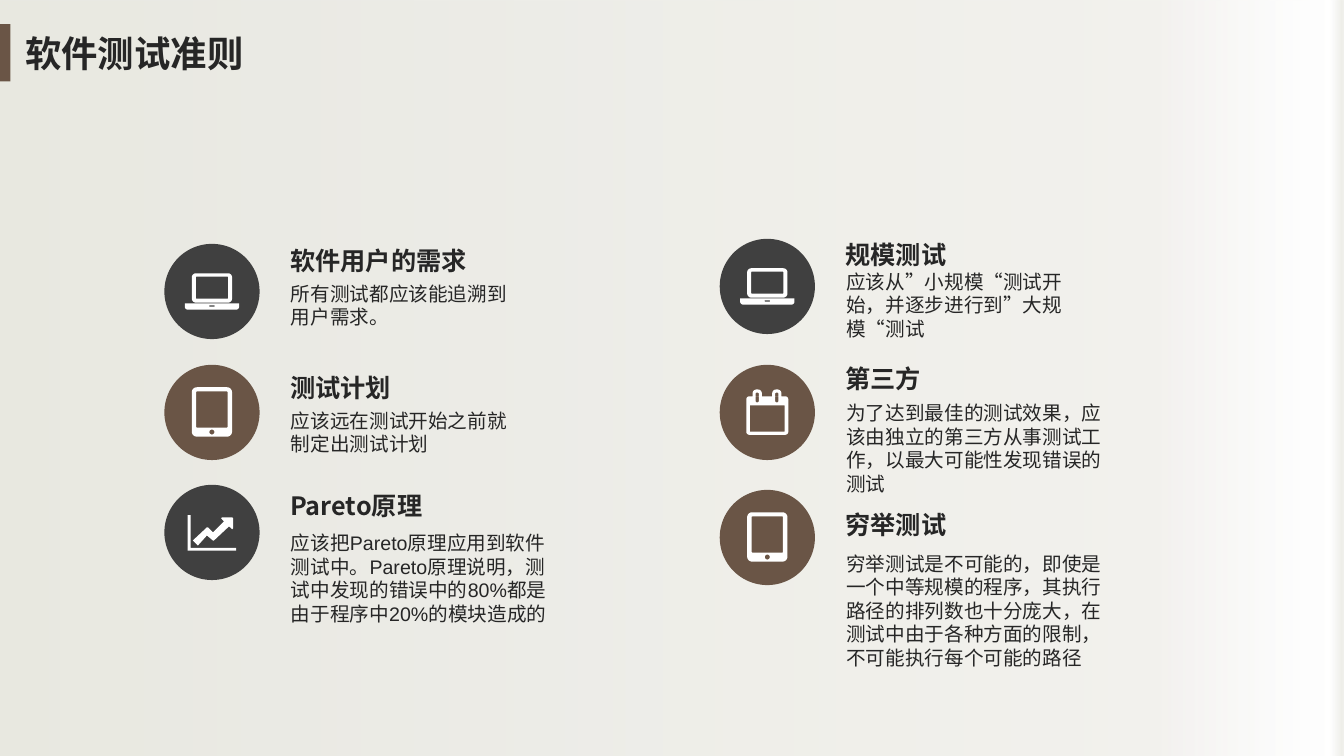
from math import cos, radians, sin

from lxml.etree import SubElement
from pptx import Presentation
from pptx.dml.color import RGBColor
from pptx.enum.shapes import MSO_SHAPE as Preset
from pptx.enum.text import MSO_ANCHOR as Anchor
from pptx.oxml.ns import qn
from pptx.util import Pt

COLORS = {"brown": "6A5546", "charcoal": "404040", "ink": "262626", "white": "FFFFFF"}
# position %, colour, opacity %
BACKDROP_STOPS = [(0, "E7E7DF", 94), (86, "F0EFEB", 85), (99, "FFFFFF", 62), (100, "EBEBE5", 100)]
CJK_FONT = "Noto Sans CJK SC"
SLIDE_WIDTH, SLIDE_HEIGHT = Pt(960), Pt(540)
DISC = 68
HEADING_OFFSET, BODY_OFFSET = 82.8, 90.4


def round_rect(left, top, right, bottom, top_radius, bottom_radius):
    """Return the outline points of a rectangle with rounded corners."""
    corners = [
        (left + top_radius, top + top_radius, top_radius, 180),
        (right - top_radius, top + top_radius, top_radius, 270),
        (right - bottom_radius, bottom - bottom_radius, bottom_radius, 0),
        (left + bottom_radius, bottom - bottom_radius, bottom_radius, 90),
    ]
    return [
        (x + r * cos(radians(start + turn)), y + r * sin(radians(start + turn)))
        for x, y, r, start in corners
        for turn in range(0, 91, 15)
    ]


def add_text(box, text, size, latin, bold=False, left_inset=7.2, spacing=None):
    """Write one paragraph in a text box at box = left, top, width, height."""
    frame = slide.shapes.add_textbox(*map(Pt, box)).text_frame
    frame.word_wrap = True
    frame.vertical_anchor = Anchor.MIDDLE
    frame.margin_left = Pt(left_inset)
    paragraph = frame.paragraphs[0]
    paragraph.line_spacing = spacing
    paragraph.font.size = Pt(size)
    paragraph.font.bold = bold
    paragraph.font.name = latin
    paragraph.font.color.rgb = RGBColor.from_string(COLORS["ink"])
    run = paragraph.add_run()
    run.text = text
    run.font.name = latin
    SubElement(run.font._element, qn("a:ea"), typeface=CJK_FONT)


# Icon outlines, in points from the centre of the disc
ICONS = {
    "laptop": [
        round_rect(-19.4, 8.6, 19.4, 13, 0, 2.2),
        round_rect(-14.4, -13, 14.4, 8, 3, 3),
        round_rect(-11.5, -10.6, 11.5, 5.2, 0.5, 0.5),
        round_rect(-2, 10, 2, 10.8, 0.3, 0.3),
    ],
    "tablet": [
        round_rect(-14.4, -18, 14.4, 17.3, 3.6, 3.6),
        round_rect(-11.2, -15, 11.2, 10.8, 0.5, 0.5),
        round_rect(-1.8, 12.2, 1.8, 15.8, 1.8, 1.8),
    ],
    "trend": [
        [(-17.3, -12.4), (-15.3, -12.4), (-15.3, 11), (17.3, 11), (17.3, 13), (-17.3, 13)],
        [
            (15.1, -2.9), (14.4, -2.2), (12.2, -4.3), (1.4, 5.8), (0.7, 5.8), (-3.6, 2.2),
            (-10.1, 9.4), (-13.7, 5.8), (-3.6, -3.6), (-2.9, -3.6), (0.7, 0), (8.6, -7.9),
            (6.5, -10.1), (7.2, -10.8), (14.4, -10.8), (15.1, -10.1),
        ],
    ],
    "calendar": [
        round_rect(-15, -11.5, 15, 16, 2.2, 2.2),
        round_rect(-12.4, -5, 12.4, 13.7, 0, 0),
    ],
}
for ring in (-7.2, 6.8):
    ICONS["calendar"] += [
        round_rect(ring - 3.3, -16.4, ring + 3.3, -11.5, 2.8, 0),
        round_rect(ring - 1.2, -14.2, ring + 1.2, -7.2, 1, 1),
    ]

# column left, then per topic: icon, disc colour, disc top, heading, heading top,
# body, body top, body width, body height
COLUMNS = [
    (117.4, [
        ("laptop", "charcoal", 174.2, "软件用户的需求", 175,
         "所有测试都应该能追溯到用户需求。", 196.6, 166.3, 42.5),
        ("tablet", "brown", 260.6, "测试计划", 265.7,
         "应该远在测试开始之前就制定出测试计划", 287.3, 166.3, 42.5),
        ("trend", "charcoal", 346.3, "Pareto原理", 349.9,
         "应该把Pareto原理应用到软件测试中。Pareto原理说明,测试中发现的错误中的80%都是"
         "由于程序中20%的模块造成的".replace(",", ","), 367.9, 198.7, 90),
    ]),
    (514.1, [
        ("laptop", "charcoal", 170.6, "规模测试", 170.6,
         "应该从”小规模“测试开始,并逐步进行到”大规模“测试", 196.6, 166.3, 42.5),
        ("calendar", "brown", 260.6, "第三方", 259.2,
         "为了达到最佳的测试效果,应该由独立的第三方从事测试工作,以最大可能性发现错误的测试",
         280.8, 199.4, 78.5),
        ("tablet", "brown", 349.9, "穷举测试", 363.6,
         "穷举测试是不可能的,即使是一个中等规模的程序,其执行路径的排列数也十分庞大,"
         "在测试中由于各种方面的限制,不可能执行每个可能的路径", 380.2, 193.7, 111.6),
    ]),
]
FULL_WIDTH_COMMA = "\uff0c"

deck = Presentation()
deck.slide_width, deck.slide_height = SLIDE_WIDTH, SLIDE_HEIGHT
slide = deck.slides.add_slide(deck.slide_layouts[6])

backdrop = slide.shapes.add_shape(Preset.RECTANGLE, 0, 0, SLIDE_WIDTH, SLIDE_HEIGHT)
backdrop.shadow.inherit = False
backdrop.line.fill.background()
backdrop.fill.gradient()
backdrop.fill.gradient_angle = 0
stops = backdrop._element.spPr.find(".//" + qn("a:gsLst"))
for stop in list(stops):
    stops.remove(stop)
for position, color, opacity in BACKDROP_STOPS:
    stop = SubElement(stops, qn("a:gs"), pos=str(position * 1000))
    tint = SubElement(stop, qn("a:srgbClr"), val=color)
    SubElement(tint, qn("a:alpha"), val=str(opacity * 1000))

accent = slide.shapes.add_shape(Preset.RECTANGLE, 0, Pt(17.3), Pt(7.4), Pt(40.8))
painted = [(accent, "brown")]
add_text((10.8, 18.7, 281.5, 38.9), "软件测试准则", 26, CJK_FONT, bold=True)

for left, topics in COLUMNS:
    for icon, color, top, heading, heading_top, body, body_top, width, height in topics:
        disc = slide.shapes.add_shape(Preset.OVAL, Pt(left), Pt(top), Pt(DISC), Pt(DISC))
        center_x, center_y = left + DISC / 2, top + DISC / 2
        outlines = [
            [(Pt(center_x + x), Pt(center_y + y)) for x, y in outline]
            for outline in ICONS[icon]
        ]
        builder = slide.shapes.build_freeform(*outlines[0][0])
        builder.add_line_segments(outlines[0][1:])
        for outline in outlines[1:]:
            builder.move_to(*outline[0])
            builder.add_line_segments(outline[1:])
        painted += [(disc, color), (builder.convert_to_shape(), "white")]

        add_text((left + BODY_OFFSET, body_top, width, height),
                 body.replace(",", FULL_WIDTH_COMMA), 14, "Arial",
                 left_inset=0, spacing=Pt(16.75))
        add_text((left + HEADING_OFFSET, heading_top, 143.3, 22.3), heading, 18, CJK_FONT, bold=True)

for shape, color in painted:
    shape.shadow.inherit = False
    shape.fill.solid()
    shape.fill.fore_color.rgb = RGBColor.from_string(COLORS[color])
    shape.line.fill.background()

deck.save("out.pptx")
